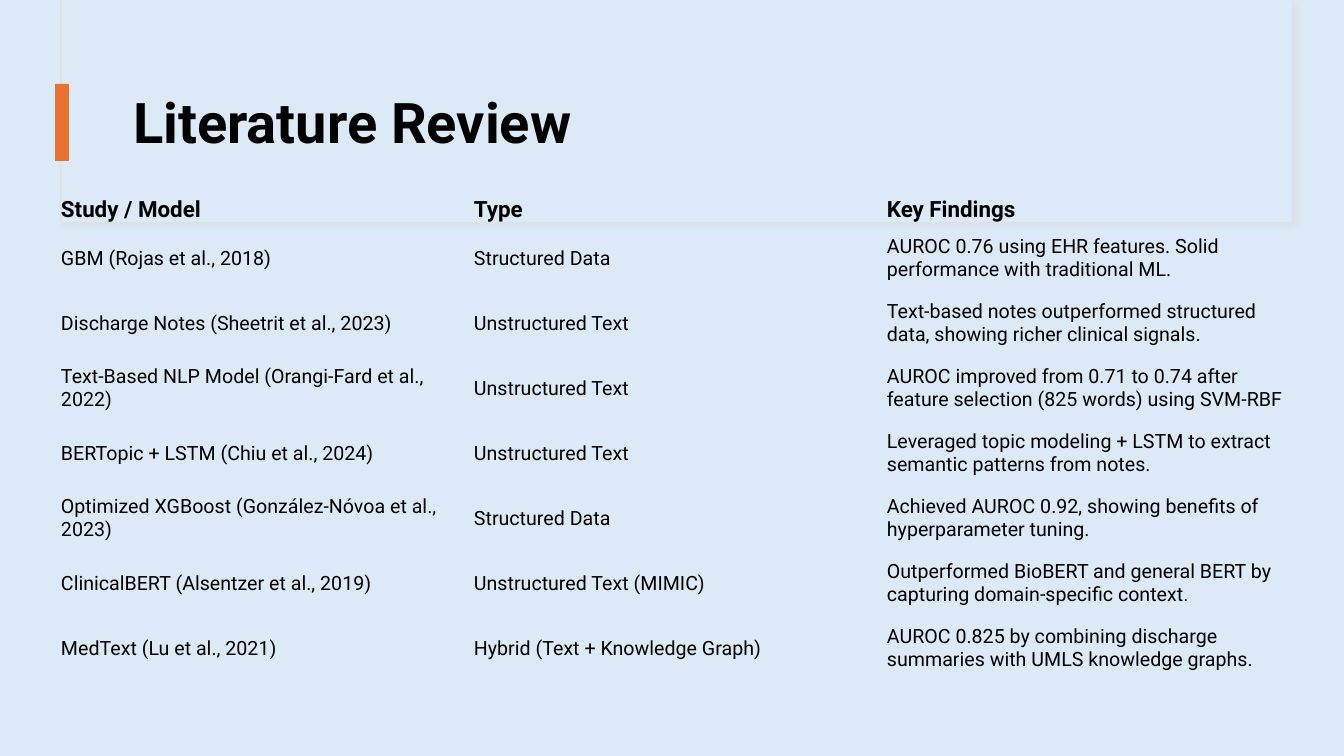
from lxml.etree import SubElement
from pptx import Presentation
from pptx.dml.color import RGBColor
from pptx.enum.shapes import MSO_SHAPE
from pptx.enum.text import MSO_ANCHOR, PP_ALIGN
from pptx.oxml.ns import qn
from pptx.util import Emu, Pt

SCALE = 914400 / 100.8
THEME = {
    "font": "Roboto",
    "background": RGBColor.from_string("DCEAF7"),
    "accent": RGBColor.from_string("E97132"),
    "outline": RGBColor.from_string("E1E1E1"),
    "shadow": "D9D9D9",
    "text": RGBColor.from_string("000000"),
    "title_size": 40,
    "header_size": 16,
    "body_size": 14,
}
ROWS = [
    ("Study / Model", "Type", "Key Findings"),
    ("GBM (Rojas et al., 2018)", "Structured Data",
     "AUROC 0.76 using EHR features. Solid performance with traditional ML."),
    ("Discharge Notes (Sheetrit et al., 2023)", "Unstructured Text",
     "Text-based notes outperformed structured data, showing richer clinical signals."),
    ("Text-Based NLP Model (Orangi-Fard et al., 2022)", "Unstructured Text",
     "AUROC improved from 0.71 to 0.74 after feature selection (825 words) using SVM-RBF"),
    ("BERTopic + LSTM (Chiu et al., 2024)", "Unstructured Text",
     "Leveraged topic modeling + LSTM to extract semantic patterns from notes."),
    ("Optimized XGBoost (González-Nóvoa et al., 2023)", "Structured Data",
     "Achieved AUROC 0.92, showing benefits of hyperparameter tuning."),
    ("ClinicalBERT (Alsentzer et al., 2019)", "Unstructured Text (MIMIC)",
     "Outperformed BioBERT and general BERT by capturing domain-specific context."),
    ("MedText (Lu et al., 2021)", "Hybrid (Text + Knowledge Graph)",
     "AUROC 0.825 by combining discharge summaries with UMLS knowledge graphs."),
]


def px(*lengths):
    return [Emu(round(length * SCALE)) for length in lengths]


def write_text(frame, text, size, bold=False, line_spacing=None):
    para = frame.paragraphs[0]
    para.alignment = PP_ALIGN.LEFT
    para.line_spacing = line_spacing
    span = para.add_run()
    span.text = text
    span.font.name = THEME["font"]
    span.font.size = Pt(size)
    span.font.bold = bold
    span.font.color.rgb = THEME["text"]


deck = Presentation()
deck.slide_width, deck.slide_height = px(1344, 756)
page = deck.slides.add_slide(deck.slide_layouts[5])
page.background.fill.solid()
page.background.fill.fore_color.rgb = THEME["background"]

title = page.shapes.title
title.left, title.top, title.width, title.height = px(123, 60, 1121, 130)
title.text_frame.vertical_anchor = MSO_ANCHOR.MIDDLE
write_text(title.text_frame, "Literature Review", THEME["title_size"], bold=True, line_spacing=0.9)

panels = []
for bounds, color in [
    ((61, 0, 1231, 222), "background"),
    ((62, 0, 1230, 222), "background"),
    ((55, 84, 14, 77), "accent"),
]:
    panel = page.shapes.add_shape(MSO_SHAPE.RECTANGLE, *px(*bounds))
    panel.shadow.inherit = False
    panel.fill.solid()
    panel.fill.fore_color.rgb = THEME[color]
    panel.line.fill.background()
    panels.append(panel)

backdrop, cover, accent_bar = panels
backdrop.line.color.rgb = THEME["outline"]
backdrop.line.width = Pt(0.75)
effects = backdrop._element.spPr.find(qn("a:effectLst"))
shadow = SubElement(effects, qn("a:outerShdw"), blurRad=str(Pt(4)), dist=str(Pt(3)),
                    dir=str(45 * 60000), algn="tl", rotWithShape="0")
shadow_color = SubElement(shadow, qn("a:srgbClr"), val=THEME["shadow"])
SubElement(shadow_color, qn("a:alpha"), val="50000")
cover._element.addnext(title._element)

frame = page.shapes.add_table(len(ROWS), 3, *px(55, 194, 1239, 481))
table = frame.table
table.first_row = False
table.horz_banding = False
for column in table.columns:
    column.width = px(413)[0]
for row_index, values in enumerate(ROWS):
    is_header = row_index == 0
    table.rows[row_index].height = px(26 if is_header else 65)[0]
    for column_index, value in enumerate(values):
        cell = table.cell(row_index, column_index)
        cell.margin_left, cell.margin_top, cell.margin_right, cell.margin_bottom = px(6, 3, 6, 3)
        cell.vertical_anchor = MSO_ANCHOR.MIDDLE
        properties = cell._tc.get_or_add_tcPr()
        for side in ("lnL", "lnR", "lnT", "lnB"):
            SubElement(SubElement(properties, qn(f"a:{side}")), qn("a:noFill"))
        cell.fill.background()
        size = THEME["header_size"] if is_header else THEME["body_size"]
        write_text(cell.text_frame, value, size, bold=is_header)

deck.save("out.pptx")
